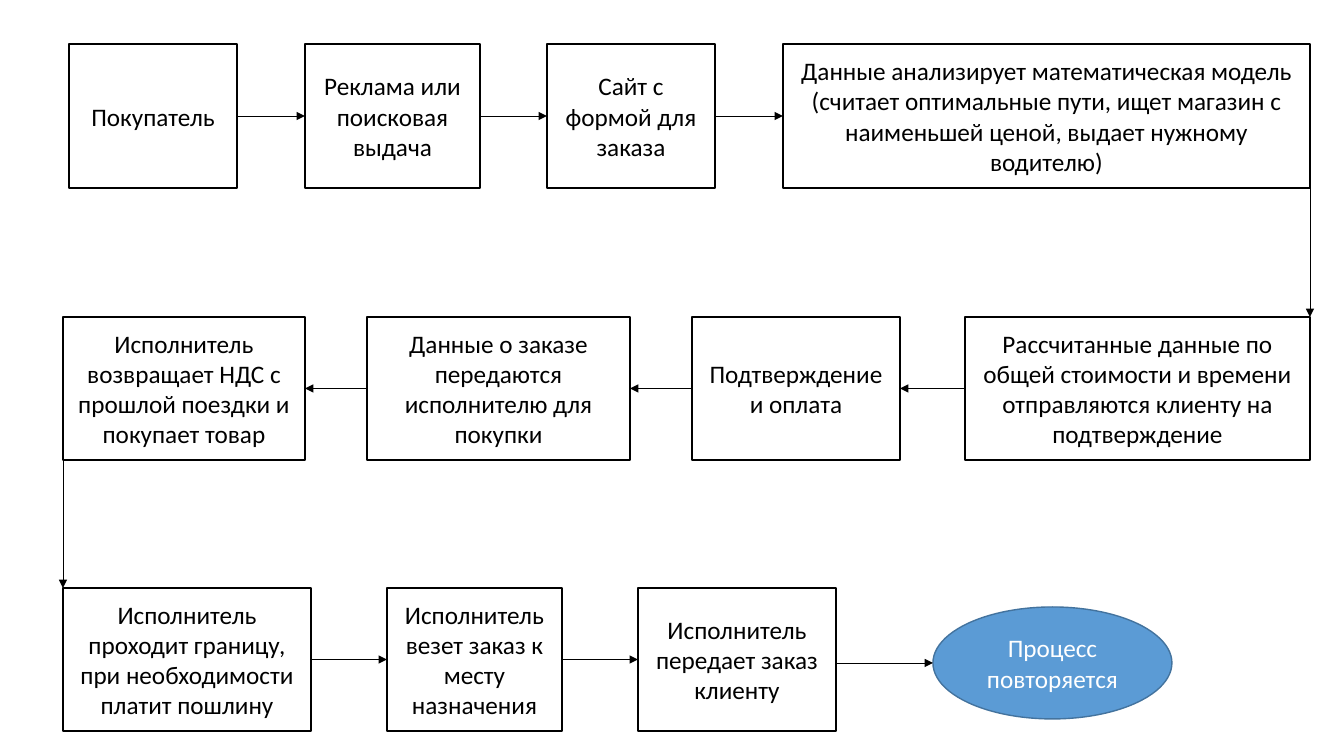
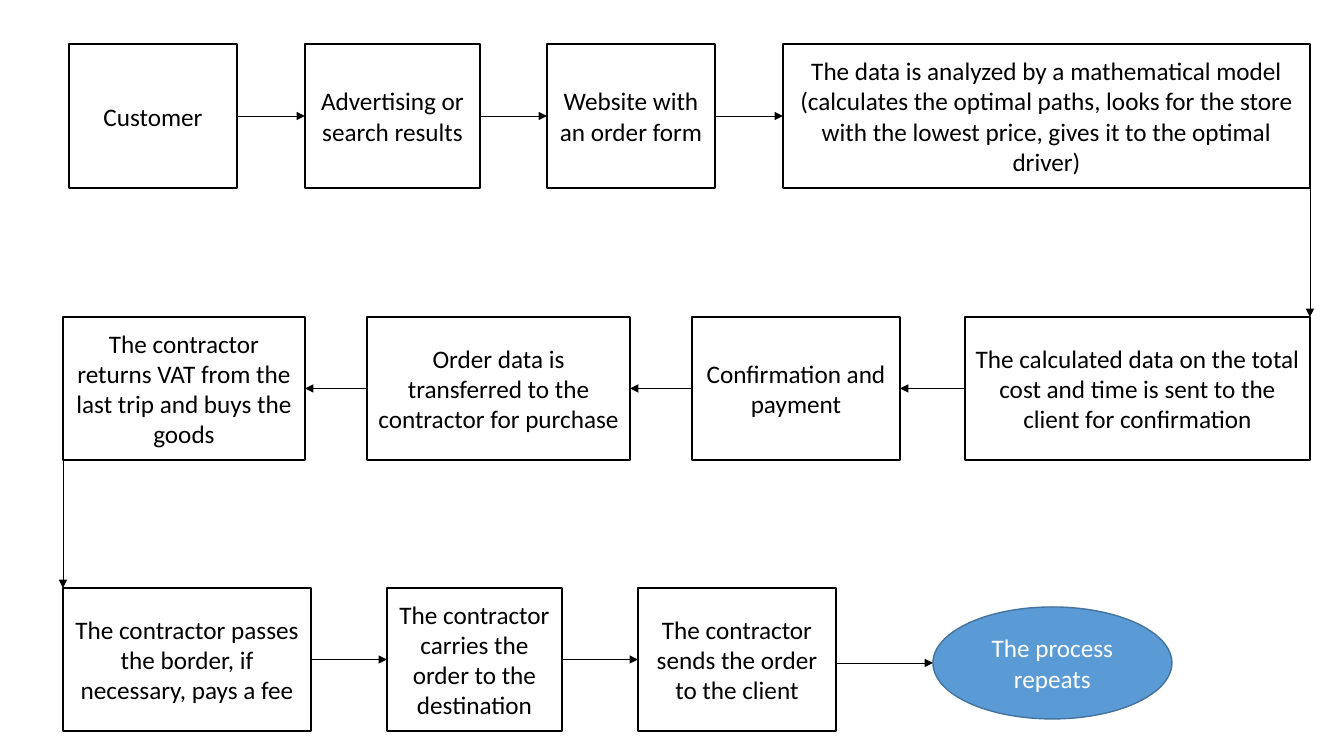
from itertools import pairwise

from lxml import etree
from pptx import Presentation
from pptx import util as u
from pptx.dml.color import RGBColor
from pptx.enum import shapes, text
from pptx.oxml import ns

# Each language lists its steps in flow order; a newline starts a paragraph.
STEPS = {
    "Russian": [
        "Покупатель",
        "Реклама или\nпоисковая выдача",
        "Сайт с формой для заказа",
        "Данные анализирует математическая модель (считает оптимальные пути, "
        "ищет магазин с наименьшей ценой, выдает нужному водителю)",
        "Рассчитанные данные по общей стоимости и времени отправляются "
        "клиенту на подтверждение",
        "Подтверждение и оплата",
        "Данные о заказе передаются исполнителю для покупки",
        "Исполнитель возвращает НДС с прошлой поездки и покупает товар",
        "Исполнитель проходит границу, при необходимости платит пошлину",
        "Исполнитель везет заказ к месту назначения",
        "Исполнитель передает заказ клиенту",
        "Процесс повторяется",
    ],
    "English": [
        "Customer",
        "Advertising or\nsearch results",
        "Website with an order form",
        "The data is analyzed by a mathematical model (calculates the optimal "
        "paths, looks for the store with the lowest price, gives it to the "
        "optimal driver)",
        "The calculated data on the total cost and time is sent to the client "
        "for confirmation",
        "Confirmation and payment",
        "Order data is transferred to the contractor for purchase",
        "The contractor returns VAT from the last trip and buys the goods",
        "The contractor passes the border, if necessary, pays a fee",
        "The contractor carries the order to the destination",
        "The contractor sends the order to the client",
        "The process repeats",
    ],
}

# Row: top, height, then (left, width) of its boxes in flow order.
ROWS = [
    (44, 144, [(69, 168), (305, 175), (547, 168), (783, 527)]),
    (317, 143, [(965, 345), (692, 208), (367, 263), (63, 242)]),
    (588, 143, [(63, 248), (387, 175), (638, 198)]),
]
REPEAT_OVAL = (933, 607, 239, 112)

COLORS = {"black": "000000", "white": "FFFFFF", "blue": "5B9BD5", "blue edge": "43739E"}
FONT, FONT_SIZE = "Calibri", 18
LEFT_SITE, RIGHT_SITE = 1, 3
SLIDE_WIDTH, SLIDE_HEIGHT = 1344, 756


def px(pixels):
    """Turn pixels into EMU."""
    return u.Emu(round(pixels * 914400 / 100.8))


def color(name):
    """Look up a named colour."""
    return RGBColor.from_string(COLORS[name])


def add_step(slide, kind, box, words, fill, edge, ink):
    """Add one step of the process with centred text."""
    shape = slide.shapes.add_shape(kind, *map(px, box))
    shape.shadow.inherit = False
    shape.fill.solid()
    shape.fill.fore_color.rgb = color(fill)
    shape.line.color.rgb = color(edge)
    shape.line.width = u.Pt(1)
    frame = shape.text_frame
    frame.word_wrap = True
    frame.vertical_anchor = text.MSO_ANCHOR.MIDDLE
    frame.text = words
    for paragraph in frame.paragraphs:
        paragraph.alignment = text.PP_ALIGN.CENTER
        for run in paragraph.runs:
            run.font.name = FONT
            run.font.size = u.Pt(FONT_SIZE)
            run.font.color.rgb = color(ink)
    return shape


def add_arrow(slide, start, end):
    """Add a thin black arrow between two points in EMU."""
    arrow = slide.shapes.add_connector(shapes.MSO_CONNECTOR.STRAIGHT, *start, *end)
    arrow.line.color.rgb = color("black")
    arrow.line.width = u.Pt(0.5)
    etree.SubElement(arrow.line._get_or_add_ln(), ns.qn("a:tailEnd"), type="triangle")
    etree.SubElement(arrow._element.spPr, ns.qn("a:effectLst"))
    return arrow


def middle(shape):
    """Return the height of a shape's centre line."""
    return shape.top + shape.height // 2


def right(shape):
    """Return the right edge of a shape."""
    return shape.left + shape.width


def link_in_row(slide, source, target):
    """Join two neighbouring boxes in whichever direction the row runs."""
    forward = target.left > source.left
    start_x, end_x = (right(source), target.left) if forward else (source.left, right(target))
    arrow = add_arrow(slide, (start_x, middle(source)), (end_x, middle(target)))
    arrow.begin_connect(source, RIGHT_SITE if forward else LEFT_SITE)
    arrow.end_connect(target, LEFT_SITE if forward else RIGHT_SITE)


def link_rows(slide, source, target, site):
    """Run an arrow down the shared outer edge to the next row."""
    x = right(source) if site == RIGHT_SITE else source.left
    arrow = add_arrow(slide, (x, middle(source)), (x, target.top))
    arrow.begin_connect(source, site)


def build_process(slide, steps):
    """Lay out the whole process on one slide."""
    words = iter(steps)
    rows = [
        [
            add_step(slide, shapes.MSO_SHAPE.RECTANGLE, (left, top, width, height),
                     next(words), "white", "black", "black")
            for left, width in boxes
        ]
        for top, height, boxes in ROWS
    ]
    oval = add_step(slide, shapes.MSO_SHAPE.OVAL, REPEAT_OVAL, next(words),
                    "blue", "blue edge", "white")
    for row in rows:
        for source, target in pairwise(row):
            link_in_row(slide, source, target)
    for (upper, lower), site in zip(pairwise(rows), (RIGHT_SITE, LEFT_SITE)):
        link_rows(slide, upper[-1], lower[0], site)
    add_arrow(slide, (right(rows[-1][-1]), middle(oval)), (oval.left, middle(oval)))


presentation = Presentation()
presentation.slide_width = px(SLIDE_WIDTH)
presentation.slide_height = px(SLIDE_HEIGHT)
blank_layout = presentation.slide_layouts.get_by_name("Blank")
for language_steps in STEPS.values():
    build_process(presentation.slides.add_slide(blank_layout), language_steps)
presentation.save("out.pptx")
